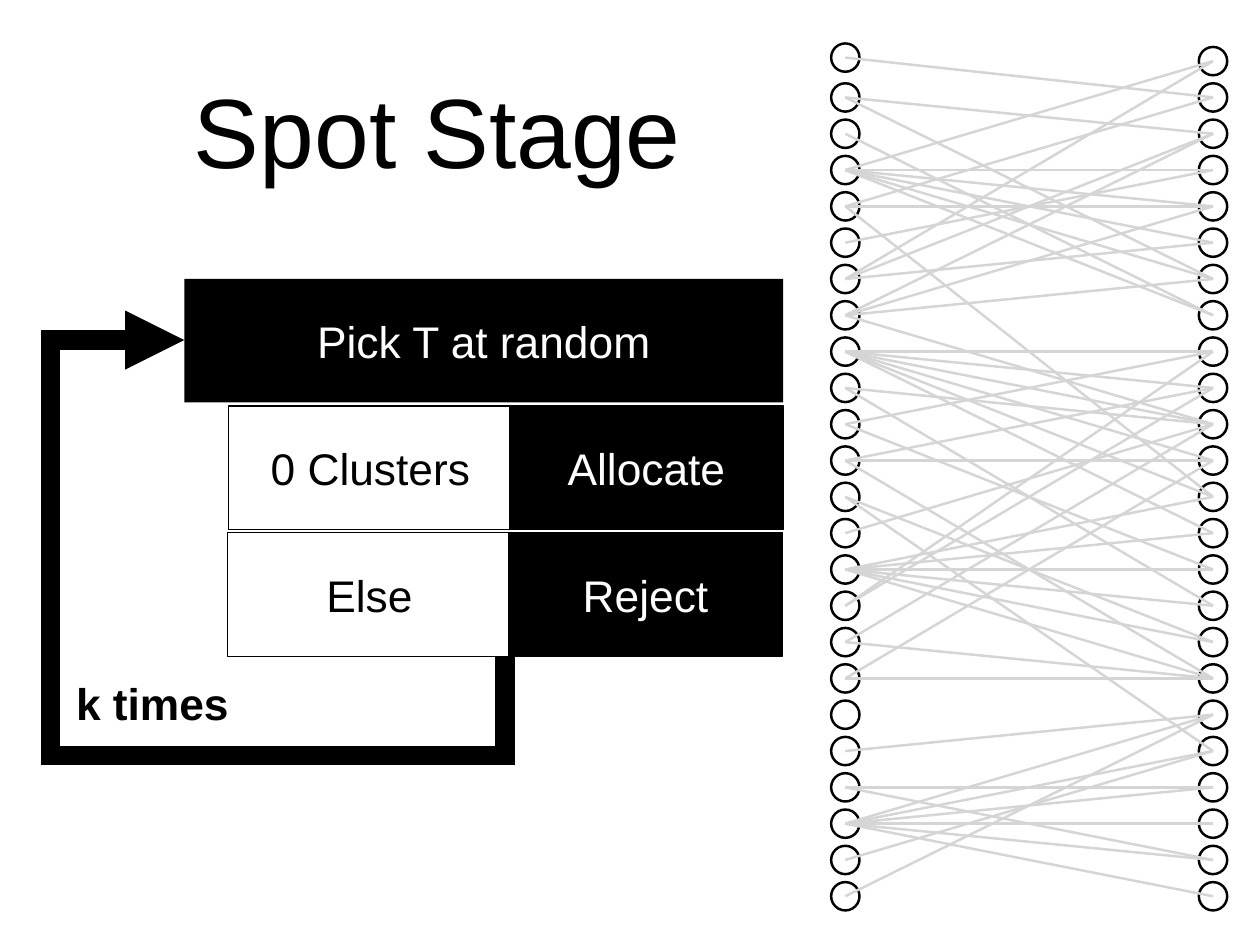
from lxml.etree import SubElement
from pptx import Presentation
from pptx.dml.color import RGBColor
from pptx.enum.shapes import MSO_CONNECTOR, MSO_SHAPE
from pptx.enum.text import MSO_ANCHOR, PP_ALIGN
from pptx.oxml.ns import qn
from pptx.util import Inches, Pt

COLORS = {"ink": "000000", "paper": "FFFFFF", "edge": "D5D5D5"}
FONT = "Arial"
ROWS = 24

# Right-hand rows reached from each left-hand row
EDGES = {
    0: [1], 1: [2, 6], 2: [7], 3: [0, 3, 4, 5, 6, 7], 4: [1, 4, 12],
    5: [3], 6: [0, 2, 5], 7: [2, 4, 6, 10], 8: [8, 9, 10, 11, 12, 13],
    9: [10, 15], 10: [8, 14], 11: [9, 11, 17], 12: [16, 19], 13: [10],
    14: [12, 13, 14, 15, 16, 17], 15: [8, 9], 16: [10, 17], 17: [11, 17],
    19: [18], 20: [20, 22], 21: [18, 19, 20, 21, 22, 23], 22: [19], 23: [18],
}


def color(name):
    return RGBColor.from_string(COLORS[name])


def set_text(sp, text, size=36, ink="ink", bold=False, wrap=True):
    tf = sp.text_frame
    tf.word_wrap = wrap
    tf.vertical_anchor = MSO_ANCHOR.MIDDLE
    tf.margin_left = tf.margin_right = Inches(0.06)
    tf.margin_top = tf.margin_bottom = Inches(0.06)
    p = tf.paragraphs[0]
    p.alignment = PP_ALIGN.CENTER
    r = p.add_run()
    r.text = text
    r.font.name, r.font.size, r.font.bold = FONT, Pt(size), bold
    r.font.color.rgb = color(ink)


def add_label(slide, box, text, **fmt):
    sp = slide.shapes.add_textbox(*map(Inches, box))
    set_text(sp, text, **fmt)


def add_preset(slide, kind, box, fill=None, line=None):
    sp = slide.shapes.add_shape(kind, *map(Inches, box))
    sp.shadow.inherit = False
    if fill:
        sp.fill.solid()
        sp.fill.fore_color.rgb = color(fill)
    else:
        sp.fill.background()
    if line:
        sp.line.color.rgb = color("ink")
        sp.line.width = Pt(line)
    else:
        sp.line.fill.background()
    return sp


def add_edge(slide, start, end):
    cn = slide.shapes.add_connector(
        MSO_CONNECTOR.STRAIGHT, *map(Inches, (*start, *end)))
    cn.line.color.rgb = color("edge")
    cn.line.width = Pt(2)
    SubElement(cn._element.spPr, qn("a:effectLst"))


def add_graph(slide, left, top, width, height):
    """Two columns of nodes, centred on the sides of the box, and their edges."""
    pitch = height / (ROWS - 1)
    size = 0.32

    def node(side, row):
        lift = 0.04 if (side, row) == (0, 0) else 0
        return left + side * width, top + row * pitch - lift

    # Nodes
    for side in range(2):
        for row in range(ROWS):
            x, y = node(side, row)
            add_preset(slide, MSO_SHAPE.OVAL,
                       (x - size / 2, y - size / 2, size, size), line=2)
    # Edges
    for row, targets in EDGES.items():
        for target in targets:
            add_edge(slide, node(0, row), node(1, target))


def add_steps(slide, left, top, width, height):
    """The opening step above two rows of case and outcome."""
    gap = 0.04
    row_h = (height - 2 * gap) / 3
    indent, case_w, outcome_w = 0.5, 3.2, 3.09
    right = left + width

    # Opening step
    sp = add_preset(slide, MSO_SHAPE.RECTANGLE, (left, top, width, row_h), "ink")
    set_text(sp, "Pick T at random", ink="paper")

    # Cases and outcomes
    cases = [("0 Clusters", "Allocate"), ("Else", "Reject")]
    for row, (case, outcome) in enumerate(cases, 1):
        y = top + row * (row_h + gap)
        shift = -0.01 * (row - 1)
        cells = [(case, left + indent, case_w, "paper", "ink"),
                 (outcome, right - outcome_w, outcome_w, "ink", "paper")]
        for text, x, w, fill, ink in cells:
            sp = add_preset(slide, MSO_SHAPE.RECTANGLE,
                            (x + shift, y, w, row_h), fill, line=1)
            set_text(sp, text, ink=ink)


def add_loop(slide, left, top, width, height):
    """Arrow from the last step round to the first, with its count."""
    right, bottom = left + width, top + height
    points = [(right, bottom - 1.12), (right, bottom), (left, bottom),
              (left, top), (left + 1.51, top)]
    start, *rest = [tuple(map(Inches, point)) for point in points]
    builder = slide.shapes.build_freeform(*start, scale=1.0)
    builder.add_line_segments(rest, close=False)
    sp = builder.convert_to_shape()
    sp.shadow.inherit = False
    sp.fill.background()
    sp.line.color.rgb = color("ink")
    sp.line.width = Pt(16)
    ln = sp.line._get_or_add_ln()
    SubElement(ln, qn("a:miter"), lim="400000")
    SubElement(ln, qn("a:tailEnd"), type="triangle")

    add_label(slide, (left + 0.22, bottom - 0.95, 1.86, 0.71), "k times",
              bold=True, wrap=False)


def main():
    prs = Presentation()
    prs.slide_width, prs.slide_height = Inches(14.22), Inches(10.67)
    slide = prs.slides.add_slide(prs.slide_layouts[6])

    add_label(slide, (1.04, 0.28, 7.8, 2.36), "Spot Stage", size=80)
    add_graph(slide, 9.54, 0.69, 4.15, 9.43)
    add_steps(slide, 2.08, 3.15, 6.76, 4.26)
    add_loop(slide, 0.57, 3.84, 5.13, 4.69)

    prs.save("out.pptx")


if __name__ == "__main__":
    main()
